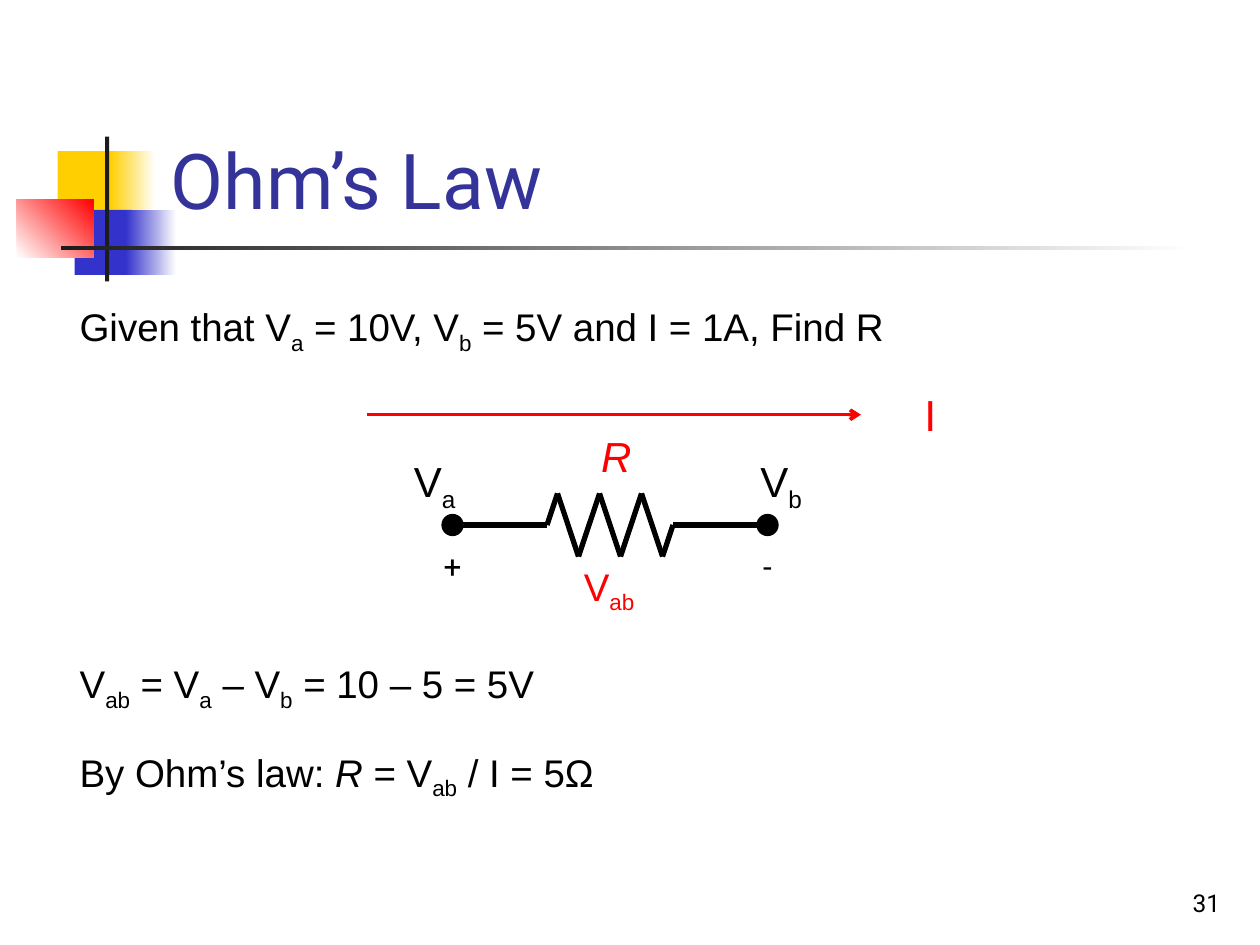
from dataclasses import dataclass
from itertools import pairwise
from typing import Optional

from lxml import etree
from pptx import Presentation
from pptx.dml.color import RGBColor
from pptx.enum.shapes import MSO_CONNECTOR, MSO_SHAPE
from pptx.enum.text import MSO_ANCHOR, PP_ALIGN
from pptx.oxml.ns import qn
from pptx.util import Emu, Inches, Pt

RECT, OVAL = MSO_SHAPE.RECTANGLE, MSO_SHAPE.OVAL
STRAIGHT = MSO_CONNECTOR.STRAIGHT
TOP, BOTTOM = MSO_ANCHOR.TOP, MSO_ANCHOR.BOTTOM
LEFT, CENTER, RIGHT = PP_ALIGN.LEFT, PP_ALIGN.CENTER, PP_ALIGN.RIGHT

BLACK = RGBColor(0x00, 0x00, 0x00)
WHITE = RGBColor(0xFF, 0xFF, 0xFF)
RED = RGBColor(0xFF, 0x00, 0x00)
GOLD = RGBColor(0xFF, 0xCF, 0x01)
BLUE = RGBColor(0x33, 0x33, 0xCC)
NAVY = RGBColor(0x33, 0x33, 0x99)
INK = RGBColor(0x1C, 0x1C, 0x1C)

# The slide is a grid of 120 columns by 90 rows, 12 cells to the inch.
COLS, ROWS = 120, 90
CELL = Inches(1) / 12

Box = tuple[float, float, float, float]
Point = tuple[float, float]


@dataclass
class Block:
    box: Box
    color: RGBColor
    fade: Optional[RGBColor] = None
    angle: float = 0


@dataclass
class Label:
    """Text whose pieces are parted by |; _ marks a subscript, * an italic."""
    box: Box
    lines: list[str]
    size: float
    color: RGBColor = BLACK
    face: str = "Arial"
    align: PP_ALIGN = CENTER
    anchor: MSO_ANCHOR = TOP
    gaps: tuple[float, ...] = (0,)


BLOCKS = [
    Block((5.5, 14.4, 5.8, 6.2), GOLD),
    Block((10.5, 14.4, 4.3, 6.2), GOLD, WHITE),
    Block((7.1, 20, 5.5, 6.2), BLUE),
    Block((12, 20, 4.8, 6.2), BLUE, WHITE),
    Block((1.6, 19, 7.3, 5.5), WHITE, RED, 45),
    Block((10, 13, 0.4, 13.8), INK),
    Block((5.8, 23.4, 108, 0.4), INK, WHITE),
]

# Resistor: start, end leads of 9 cells, teeth 2 cells apart and 3 high.
START, MID = 43.1, 50
LEAD, TEETH, PITCH, PEAK = 9, 6, 2, 3
TURNS = [(LEAD + 1 + PITCH * i, PEAK if i % 2 else -PEAK) for i in range(TEETH)]
SPAN = 2 * LEAD + PITCH * TEETH
PATH = [(START + x, MID + y) for x, y in
        [(0, 0), (LEAD, 0), *TURNS, (SPAN - LEAD, 0), (SPAN, 0)]]
DOT = 2

LABELS = [
    Label((15.1, 2.8, 102.2, 19.2), ["Ohm’s Law"], 44, NAVY, "Roboto", LEFT, BOTTOM),
    Label((6.4, 28.3, 109.6, 54),
          ["Given that V|_a| = 10V, V|_b| = 5V and I = 1A, Find R",
           "V|_ab| = V|_a| – V|_b| = 10 – 5 = 5V",
           "By Ohm’s law: |*R| = V|_ab| / I = 5Ω"],
          22, align=LEFT, gaps=(0, 174, 20.4)),
    Label((37, 42.8, 8.8, 6.1), ["V|_a"], 24),
    Label((69.8, 42.8, 9.2, 6.1), ["V|_b"], 24),
    Label((53.5, 53, 9, 5.6), ["V|_ab"], 22, RED),
    Label((54.2, 40.4, 9, 6), ["*R"], 24, RED),
    Label((40, 51.5, 6.2, 4.8), ["+"], 18, face="Roboto"),
    Label((70, 51.5, 6.2, 4.8), ["-"], 18, face="Roboto"),
    Label((84, 36.5, 9.2, 6.1), ["I"], 24, RED, "Roboto"),
    Label((92.4, 82, 25, 6), ["31"], 14, face="Roboto", align=RIGHT, anchor=BOTTOM),
]


def cells(*spans: float) -> list[Emu]:
    return [Emu(round(span * CELL)) for span in spans]


def assign(item, values: dict) -> None:
    for name, value in values.items():
        setattr(item, name, value)


def draw_block(shapes, block: Block) -> None:
    shape = shapes.add_shape(RECT, *cells(*block.box))
    shape.shadow.inherit = False
    shape.line.fill.background()
    if block.fade is None:
        shape.fill.solid()
        shape.fill.fore_color.rgb = block.color
        return
    shape.fill.gradient()
    shape.fill.gradient_angle = block.angle
    for stop, color in zip(shape.fill.gradient_stops, (block.color, block.fade)):
        stop.color.rgb = color


def draw_dot(shapes, spot: Point) -> None:
    x, y = spot
    dot = shapes.add_shape(OVAL, *cells(x - DOT / 2, y - DOT / 2, DOT, DOT))
    dot.shadow.inherit = False
    dot.fill.solid()
    dot.fill.fore_color.rgb = BLACK
    dot.line.color.rgb = BLACK
    dot.line.width = Pt(0.75)


def draw_line(shapes, start: Point, end: Point, color: RGBColor,
              width: float, arrow: bool = False) -> None:
    wire = shapes.add_connector(STRAIGHT, *cells(*start, *end))
    wire.line.color.rgb = color
    wire.line.width = Pt(width)
    props = wire.element.spPr
    if arrow:
        etree.SubElement(props.find(qn("a:ln")), qn("a:tailEnd"), type="arrow")
    etree.SubElement(props, qn("a:effectLst"))


def draw_label(shapes, label: Label) -> None:
    frame = shapes.add_textbox(*cells(*label.box)).text_frame
    assign(frame, {"word_wrap": True, "vertical_anchor": label.anchor})
    for i, (line, gap) in enumerate(zip(label.lines, label.gaps)):
        para = frame.add_paragraph() if i else frame.paragraphs[0]
        assign(para, {"alignment": label.align, "space_before": Pt(gap)})
        for piece in line.split("|"):
            run = para.add_run()
            run.text = piece.lstrip("_*")
            assign(run.font, {"name": label.face, "size": Pt(label.size),
                              "italic": piece.startswith("*")})
            run.font.color.rgb = label.color
            if piece.startswith("_"):
                run._r.get_or_add_rPr().set("baseline", "-25000")


def main() -> None:
    deck = Presentation()
    width, height = cells(COLS, ROWS)
    assign(deck, {"slide_width": width, "slide_height": height})
    shapes = deck.slides.add_slide(deck.slide_layouts[6]).shapes
    for block in BLOCKS:
        draw_block(shapes, block)
    group = shapes.add_group_shape().shapes
    for start, end in pairwise(PATH):
        draw_line(group, start, end, BLACK, 3)
    for spot in (PATH[0], PATH[-1]):
        draw_dot(group, spot)
    draw_line(shapes, (35, 39.5), (82, 39.5), RED, 2, arrow=True)
    for label in LABELS:
        draw_label(shapes, label)
    deck.save("out.pptx")


if __name__ == "__main__":
    main()
